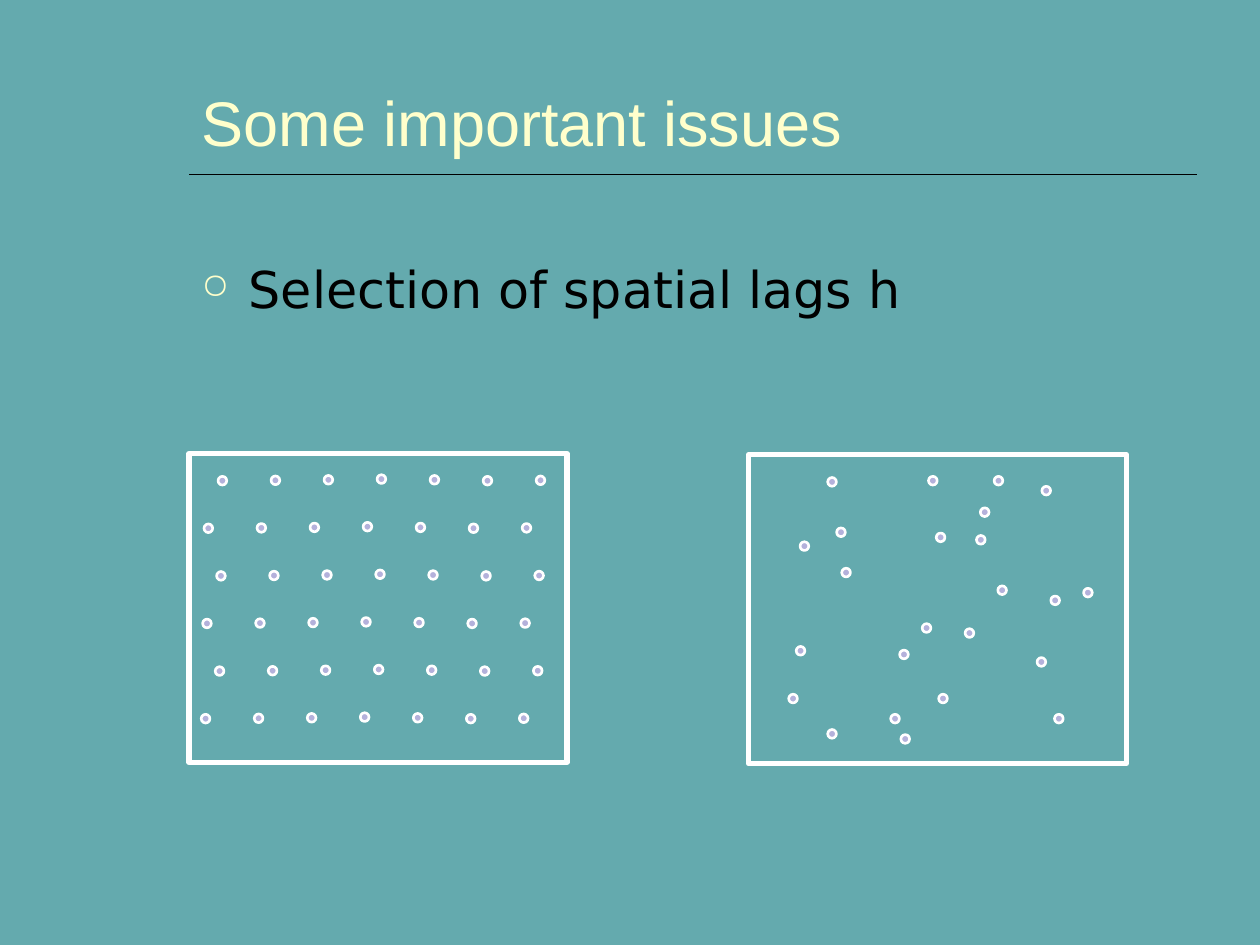
from dataclasses import dataclass

from lxml import etree
from pptx import Presentation
from pptx.dml.color import RGBColor
from pptx.enum.shapes import MSO_CONNECTOR, MSO_SHAPE
from pptx.enum.text import MSO_ANCHOR, MSO_AUTO_SIZE, PP_ALIGN
from pptx.oxml.ns import qn
from pptx.shapes.autoshape import Shape
from pptx.shapes.shapetree import GroupShapes
from pptx.slide import Slide
from pptx.text.text import TextFrame
from pptx.util import Pt

OVAL, RECTANGLE = MSO_SHAPE.OVAL, MSO_SHAPE.RECTANGLE
STRAIGHT = MSO_CONNECTOR.STRAIGHT
TOP, BOTTOM = MSO_ANCHOR.TOP, MSO_ANCHOR.BOTTOM
LEFT = PP_ALIGN.LEFT
NO_AUTOFIT = MSO_AUTO_SIZE.NONE

TEAL, CREAM, LILAC = "64AAAE", "FFFFCC", "B4B1DB"
BLACK, WHITE = "000000", "FFFFFF"

DOT_SIZE = 5
PLOT_WIDTH, PLOT_HEIGHT = 216, 176.4
MARGINS = {"margin_left": Pt(7.2), "margin_right": Pt(7.2),
           "margin_top": Pt(3.6), "margin_bottom": Pt(3.6)}


@dataclass(frozen=True)
class SamplePoint:
    left: float
    top: float


@dataclass(frozen=True)
class SamplingPlot:
    left: float
    top: float
    points: tuple[SamplePoint, ...]


def regular_points() -> tuple[SamplePoint, ...]:
    """Staggered 6 by 7 grid, drifting slightly left and rising mid-row."""
    column_rise = (0, 0.2, 0.5, 0.9, 0.5, 0, 0.2)
    return tuple(
        SamplePoint(124.6 - 0.4 * row - 7.6 * (row % 2) + 30.3 * column,
                    272.2 + 27.2 * row - rise)
        for row in range(6)
        for column, rise in enumerate(column_rise)
    )


IRREGULAR_POINTS = tuple(SamplePoint(left, top) for left, top in (
    (514.8, 419.8), (530.6, 272.2), (473, 272.9), (619.2, 336.2),
    (509, 408.2), (595.4, 277.9), (481, 324.7), (514.1, 371.5),
    (558, 306), (455, 369.4), (478.1, 301.7), (450.7, 396.7),
    (551.5, 359.3), (568.1, 272.2), (535, 304.6), (457.2, 309.6),
    (560.2, 290.2), (600.5, 340.6), (602.6, 408.2), (536.4, 396.7),
    (473, 416.9), (527, 356.4), (592.6, 375.8), (570.2, 334.8),
))

PLOTS = (
    SamplingPlot(108, 259.2, regular_points()),
    SamplingPlot(427.7, 259.9, IRREGULAR_POINTS),
)


def rgb(color: str) -> RGBColor:
    return RGBColor.from_string(color)


def outline(shape: Shape, width: float) -> None:
    shape.shadow.inherit = False
    shape.line.color.rgb = rgb(WHITE)
    shape.line.width = Pt(width)


def draw_point(shapes: GroupShapes, point: SamplePoint) -> None:
    dot = shapes.add_shape(OVAL, Pt(point.left), Pt(point.top),
                           Pt(DOT_SIZE), Pt(DOT_SIZE))
    dot.fill.solid()
    dot.fill.fore_color.rgb = rgb(LILAC)
    outline(dot, 1.5)


def draw_plot(slide: Slide, plot: SamplingPlot) -> None:
    shapes = slide.shapes.add_group_shape().shapes
    frame = shapes.add_shape(RECTANGLE, Pt(plot.left), Pt(plot.top),
                             Pt(PLOT_WIDTH), Pt(PLOT_HEIGHT))
    frame.fill.background()
    outline(frame, 3)
    for point in plot.points:
        draw_point(shapes, point)


def write(frame: TextFrame, text: str, anchor: MSO_ANCHOR,
          font_name: str, size: float, color: str) -> None:
    frame_format = {"word_wrap": True, "auto_size": NO_AUTOFIT,
                    "vertical_anchor": anchor, **MARGINS}
    for attribute, value in frame_format.items():
        setattr(frame, attribute, value)
    paragraph = frame.paragraphs[0]
    paragraph.alignment = LEFT
    run = paragraph.add_run()
    run.text = text
    for attribute, value in {"name": font_name, "size": Pt(size)}.items():
        setattr(run.font, attribute, value)
    run.font.color.rgb = rgb(color)


def draw_title(slide: Slide) -> None:
    title = slide.shapes.title
    place = {"left": 108, "top": 4.3, "width": 576, "height": 90}
    for attribute, value in place.items():
        setattr(title, attribute, Pt(value))
    write(title.text_frame, "Some important issues", BOTTOM, "Arial", 36, CREAM)

    rule = slide.shapes.add_connector(STRAIGHT, Pt(108), Pt(99.8), Pt(684), Pt(99.8))
    rule.line.color.rgb = rgb(BLACK)
    rule.line.width = Pt(1)
    etree.SubElement(rule._element.spPr, qn("a:effectLst"))


def draw_topic(slide: Slide) -> None:
    frame = slide.shapes.add_textbox(Pt(108), Pt(144), Pt(576), Pt(324)).text_frame
    write(frame, "Selection of spatial lags h", TOP, "DejaVu Sans", 29, BLACK)
    paragraph = frame.paragraphs[0]
    paragraph.space_before = Pt(7.3)
    properties = paragraph._p.get_or_add_pPr()
    properties.set("marL", str(Pt(27)))
    properties.set("indent", str(Pt(-27)))
    bullet_color = etree.SubElement(properties, qn("a:buClr"))
    etree.SubElement(bullet_color, qn("a:srgbClr"), val=CREAM)
    etree.SubElement(properties, qn("a:buSzPct"), val="70000")
    etree.SubElement(properties, qn("a:buChar"), char="○")


def main() -> None:
    presentation = Presentation()
    presentation.slide_width, presentation.slide_height = Pt(720), Pt(540)
    title_only = presentation.slide_layouts[5]
    slide = presentation.slides.add_slide(title_only)
    slide.background.fill.solid()
    slide.background.fill.fore_color.rgb = rgb(TEAL)
    draw_title(slide)
    draw_topic(slide)
    for plot in PLOTS:
        draw_plot(slide, plot)
    presentation.save("out.pptx")


if __name__ == "__main__":
    main()
